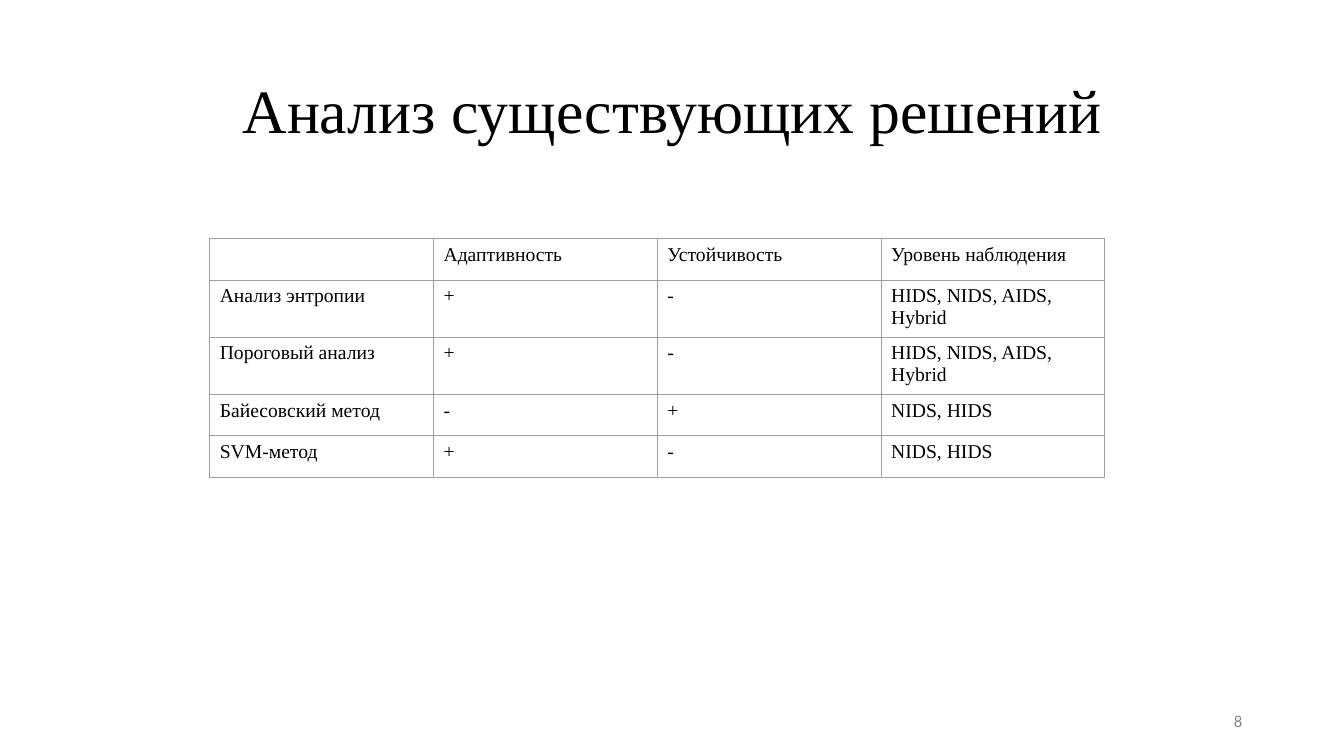
import pptx
import pptx.util
import pptx.dml.color
import pptx.enum.text
import lxml.etree
from pptx.oxml.ns import qn

Inches = pptx.util.Inches
Pt = pptx.util.Pt
RGB = pptx.dml.color.RGBColor
Align = pptx.enum.text.PP_ALIGN
Anchor = pptx.enum.text.MSO_ANCHOR

BLACK = RGB(0x00, 0x00, 0x00)
GRAY = RGB(0x88, 0x88, 0x88)
RULE = RGB(0x9E, 0x9E, 0x9E)
SERIF = "Times New Roman"

TITLE = "Анализ существующих решений"
PAGE = "8"
ROWS = [
    ("", "Адаптивность", "Устойчивость", "Уровень наблюдения"),
    ("Анализ энтропии", "+", "-", "HIDS, NIDS, AIDS, Hybrid"),
    ("Пороговый анализ", "+", "-", "HIDS, NIDS, AIDS, Hybrid"),
    ("Байесовский метод", "-", "+", "NIDS, HIDS"),
    ("SVM-метод", "+", "-", "NIDS, HIDS"),
]
LEFT, TOP, COL, ROW = 2.08, 2.37, 2.22, 0.41


def style(para, font, size, color):
    for run in para.runs:
        run.font.name = font
        run.font.size = Pt(size)
        run.font.color.rgb = color
        run.font.bold = False


def add_text(slide, box, text, font, size, color, align):
    frame = slide.shapes.add_textbox(*map(Inches, box)).text_frame
    frame.word_wrap = True
    frame.vertical_anchor = Anchor.MIDDLE
    frame.text = text
    para = frame.paragraphs[0]
    para.alignment = align
    style(para, font, size, color)
    return para


def add_rules(cell):
    props = cell._tc.get_or_add_tcPr()
    for i, side in enumerate(("lnL", "lnR", "lnT", "lnB")):
        line = lxml.etree.Element(qn("a:" + side), w=str(Pt(0.75)))
        fill = lxml.etree.SubElement(line, qn("a:solidFill"))
        lxml.etree.SubElement(fill, qn("a:srgbClr"), val=str(RULE))
        props.insert(i, line)


def add_grid(slide):
    count, width = len(ROWS), len(ROWS[0])
    box = (LEFT, TOP, COL * width, ROW * count)
    table = slide.shapes.add_table(count, width, *map(Inches, box)).table
    table.first_row = False
    table.horz_banding = False
    for col in table.columns:
        col.width = Inches(COL)
    for row, texts in zip(table.rows, ROWS):
        row.height = Inches(ROW)
        for cell, text in zip(row.cells, texts):
            cell.fill.background()
            add_rules(cell)
            if text:
                cell.text_frame.text = text
                style(cell.text_frame.paragraphs[0], SERIF, 14, BLACK)


deck = pptx.Presentation()
deck.slide_width, deck.slide_height = Inches(13.33), Inches(7.5)
slide = deck.slides.add_slide(deck.slide_layouts[6])
title = add_text(slide, (0.92, 0.4, 11.5, 1.45), TITLE, SERIF, 44, BLACK, Align.CENTER)
title.line_spacing = 0.9
add_text(slide, (9.42, 6.95, 3, 0.4), PAGE, "Calibri", 12, GRAY, Align.RIGHT)
add_grid(slide)
deck.save("out.pptx")
